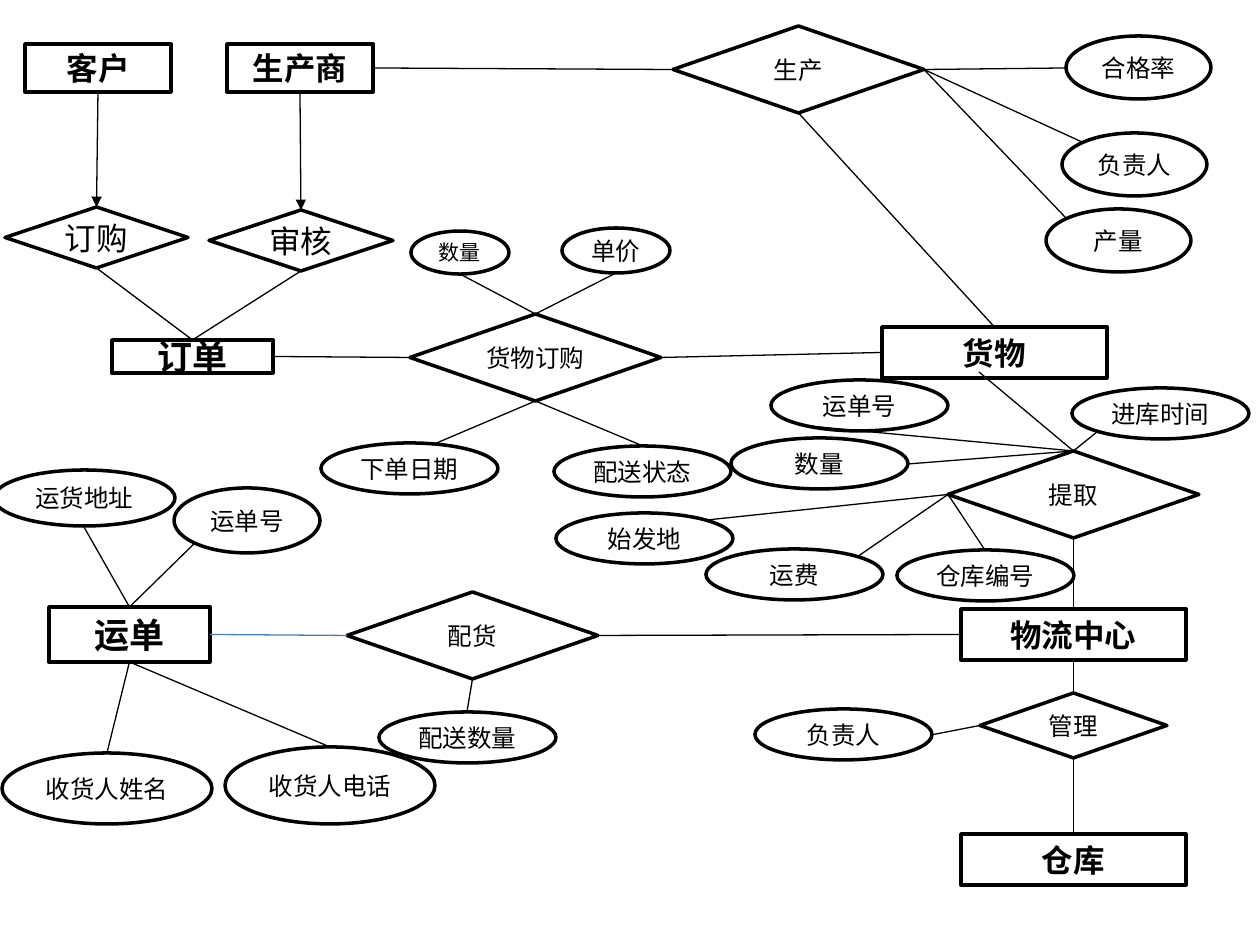
import pptx
import pptx.util
import pptx.dml.color
import pptx.enum.shapes
import pptx.enum.text
import pptx.oxml.ns
import lxml.etree

PX = 914400 // 126
SHAPE = pptx.enum.shapes.MSO_SHAPE
TOP, LEFT, BOTTOM, RIGHT = range(4)

theme = {
    "font": "Calibri",
    "ink": pptx.dml.color.RGBColor.from_string("000000"),
    "accent": pptx.dml.color.RGBColor.from_string("4B7EBC"),
    "large": 20, "medium": 18, "normal": 14, "small": 12,
    "outline": 2, "link": 0.75,
}

deck = pptx.Presentation()
deck.slide_width = pptx.util.Inches(10)
deck.slide_height = pptx.util.Inches(7.5)
slide = deck.slides.add_slide(deck.slide_layouts[6])


def add_node(kind, label, box, size, bold=False):
    node = slide.shapes.add_shape(kind, *(v * PX for v in box))
    node.shadow.inherit = False
    node.fill.background()
    node.line.color.rgb = theme["ink"]
    node.line.width = pptx.util.Pt(theme["outline"])
    frame = node.text_frame
    frame.word_wrap = False
    frame.vertical_anchor = pptx.enum.text.MSO_ANCHOR.MIDDLE
    paragraph = frame.paragraphs[0]
    paragraph.alignment = pptx.enum.text.PP_ALIGN.CENTER
    run = paragraph.add_run()
    run.text = label
    text_format = {"name": theme["font"], "size": pptx.util.Pt(theme[size]), "bold": bold}
    for attribute, value in text_format.items():
        setattr(run.font, attribute, value)
    run.font.color.rgb = theme["ink"]
    return node


def add_link(start, end, color="ink", arrow=False):
    """Each end is a (label, side) of a node or an (x, y) point in px."""
    points = [(0, 0) if isinstance(p[0], str) else p for p in (start, end)]
    link = slide.shapes.add_connector(
        pptx.enum.shapes.MSO_CONNECTOR.STRAIGHT,
        *(v * PX for point in points for v in point))
    for connect, place in ((link.begin_connect, start), (link.end_connect, end)):
        if isinstance(place[0], str):
            connect(nodes[place[0]], place[1])
    link.line.color.rgb = theme[color]
    link.line.width = pptx.util.Pt(theme["link"])
    if arrow:
        outline = link.line._get_or_add_ln()
        lxml.etree.SubElement(outline, pptx.oxml.ns.qn("a:tailEnd"), type="triangle")
    lxml.etree.SubElement(link._element.spPr, pptx.oxml.ns.qn("a:effectLst"))


# Entities (rectangles) and relationships (diamonds), found again by label
nodes = {}
entities = [
    ("客户", (25, 44, 146, 48), "medium"),
    ("生产商", (227, 44, 146, 48), "medium"),
    ("订单", (112, 340, 161, 33), "large"),
    ("货物", (882, 327, 225, 51), "medium"),
    ("运单", (49, 607, 161, 55), "large"),
    ("物流中心", (961, 609, 225, 51), "medium"),
    ("仓库", (961, 834, 225, 51), "medium"),
]
relationships = [
    ("订购", (5, 207, 183, 61), "medium"),
    ("审核", (209, 210, 184, 61), "medium"),
    ("货物订购", (410, 314, 251, 87), "normal"),
    ("生产", (673, 26, 251, 87), "normal"),
    ("提取", (948, 451, 251, 87), "normal"),
    ("配货", (347, 592, 251, 87), "normal"),
    ("管理", (980, 693, 187, 65), "normal"),
]
for label, box, size in entities:
    nodes[label] = add_node(SHAPE.RECTANGLE, label, box, size, bold=True)
for label, box, size in relationships:
    nodes[label] = add_node(SHAPE.FLOWCHART_DECISION, label, box, size)

# Attributes (ellipses) in the two common sizes
attribute_groups = {
    (177, 51): [
        ("下单日期", 321, 443), ("配送状态", 554, 446), ("进库时间", 1072, 388),
        ("运单号", 771, 380), ("数量", 731, 438), ("始发地", 556, 513),
        ("运费", 706, 549), ("仓库编号", 897, 550), ("负责人", 755, 709),
        ("配送数量", 379, 712),
    ],
    (145, 63): [("合格率", 1066, 36), ("负责人", 1062, 133), ("产量", 1046, 209)],
}
for extent, group in attribute_groups.items():
    for label, x, y in group:
        add_node(SHAPE.OVAL, label, (x, y, *extent), "normal")

# Attributes with a size of their own
for label, box, size in [
    ("单价", (562, 228, 108, 45), "normal"),
    ("数量", (411, 231, 98, 43), "small"),
    ("运货地址", (-6, 470, 181, 56), "normal"),
    ("运单号", (174, 488, 146, 65), "normal"),
    ("收货人姓名", (2, 753, 210, 71), "normal"),
    ("收货人电话", (225, 747, 210, 77), "normal"),
]:
    add_node(SHAPE.OVAL, label, box, size)

# Arrows from the parties to their actions
add_link(("客户", BOTTOM), ("订购", TOP), arrow=True)
add_link(("生产商", BOTTOM), ("审核", TOP), arrow=True)

# Links between entities and relationships
for start, end in [
    (("订购", BOTTOM), ("订单", TOP)),
    (("审核", BOTTOM), ("订单", TOP)),
    (("订单", RIGHT), ("货物订购", LEFT)),
    (("货物订购", RIGHT), ("货物", LEFT)),
    (("生产商", RIGHT), ("生产", LEFT)),
    (("生产", BOTTOM), ("货物", TOP)),
    ((979, 372), ("提取", TOP)),
    (("提取", BOTTOM), ("物流中心", TOP)),
    (("物流中心", BOTTOM), ("管理", TOP)),
    (("管理", BOTTOM), ("仓库", TOP)),
    (("物流中心", LEFT), ("配货", RIGHT)),
]:
    add_link(start, end)
add_link(("配货", LEFT), ("运单", RIGHT), color="accent")

# Links from each node side to the rims of its attributes
attribute_links = {
    ("货物订购", TOP): [(460, 274), (616, 273)],
    ("货物订购", BOTTOM): [(432, 445), (643, 446)],
    ("生产", RIGHT): [(1066, 68), (1082, 142), (1066, 218)],
    ("提取", TOP): [(1097, 432), (798, 425), (908, 464)],
    ("提取", LEFT): [(707, 520), (857, 557), (985, 550)],
    ("管理", LEFT): [(931, 735)],
    ("配货", BOTTOM): [(467, 712)],
    ("运单", TOP): [(84, 527), (195, 543)],
    ("运单", BOTTOM): [(107, 753), (330, 747)],
}
for side, rims in attribute_links.items():
    for rim in rims:
        add_link(side, rim)

deck.save("out.pptx")
